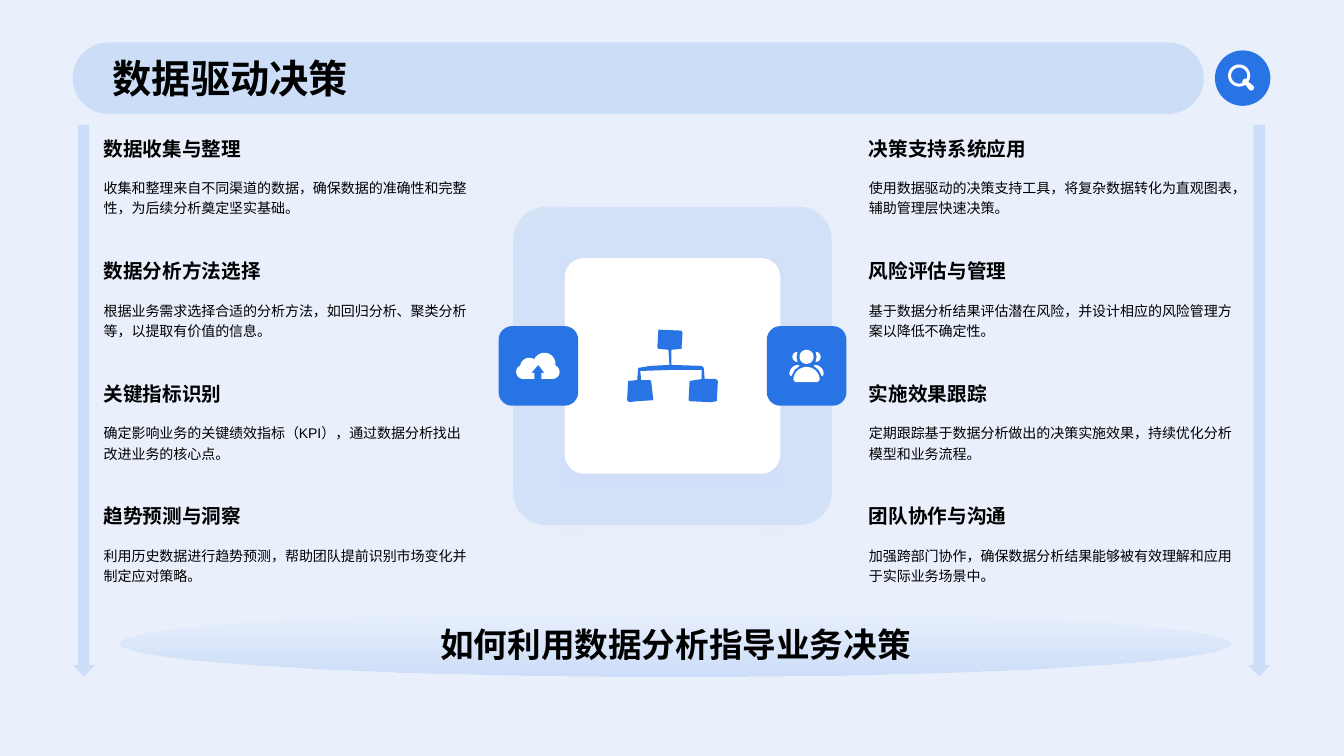
from math import cos, radians, sin

from lxml.etree import SubElement
from pptx import Presentation
from pptx.dml.color import RGBColor
from pptx.enum.lang import MSO_LANGUAGE_ID
from pptx.enum.shapes import MSO_SHAPE
from pptx.enum.text import MSO_ANCHOR, PP_ALIGN
from pptx.oxml.ns import qn
from pptx.util import Inches, Pt

# Content
TITLE = "数据驱动决策"
CONCLUSION = "如何利用数据分析指导业务决策"
LEFT_TOPICS = [
    ("数据收集与整理", "收集和整理来自不同渠道的数据，确保数据的准确性和完整性，为后续分析奠定坚实基础。"),
    ("数据分析方法选择", "根据业务需求选择合适的分析方法，如回归分析、聚类分析等，以提取有价值的信息。"),
    ("关键指标识别", "确定影响业务的关键绩效指标（KPI），通过数据分析找出改进业务的核心点。"),
    ("趋势预测与洞察", "利用历史数据进行趋势预测，帮助团队提前识别市场变化并制定应对策略。"),
]
RIGHT_TOPICS = [
    ("决策支持系统应用", "使用数据驱动的决策支持工具，将复杂数据转化为直观图表，辅助管理层快速决策。"),
    ("风险评估与管理", "基于数据分析结果评估潜在风险，并设计相应的风险管理方案以降低不确定性。"),
    ("实施效果跟踪", "定期跟踪基于数据分析做出的决策实施效果，持续优化分析模型和业务流程。"),
    ("团队协作与沟通", "加强跨部门协作，确保数据分析结果能够被有效理解和应用于实际业务场景中。"),
]
BLUE = RGBColor(0x28, 0x74, 0xE5)
WHITE = RGBColor(0xFF, 0xFF, 0xFF)
BLACK = RGBColor(0, 0, 0)

# Layout, in inches
SLIDE_W, SLIDE_H = 13.33, 7.5
TOPIC_TOP, TOPIC_W, HEADING_H, BODY_H = 1.24, 3.87, 0.46, 0.68
TOPIC_PITCH = 3.65 / 3
CENTER_X, CENTER_Y = 6.67, 3.63

prs = Presentation()
prs.slide_width, prs.slide_height = Inches(SLIDE_W), Inches(SLIDE_H)
s = prs.slides.add_slide(prs.slide_layouts[6])


def set_alpha(color_parent, percent):
    color = next(color_parent.iter(qn("a:srgbClr")))
    SubElement(color, qn("a:alpha"), val=str(percent * 1000))


def paint(sp, color, alpha=100):
    sp.shadow.inherit = False
    sp.line.fill.background()
    sp.fill.solid()
    sp.fill.fore_color.rgb = color
    if alpha < 100:
        set_alpha(sp._element.spPr.find(qn("a:solidFill")), alpha)


def add_box(kind, x, y, w, h, color, alpha=100, adj=None):
    sp = s.shapes.add_shape(kind, Inches(x), Inches(y), Inches(w), Inches(h))
    paint(sp, color, alpha)
    if adj is not None:
        sp.adjustments[0] = adj
    return sp


def add_square(cx, size, color, alpha=100, adj=0.17):
    return add_box(MSO_SHAPE.ROUNDED_RECTANGLE, cx - size / 2, CENTER_Y - size / 2,
                   size, size, color, alpha, adj)


def arc(cx, cy, radius, start, end):
    steps = 24
    angles = [radians(start + (end - start) * i / steps) for i in range(steps + 1)]
    return [(cx + radius * cos(a), cy + radius * sin(a)) for a in angles]


def mirror(points, axis):
    return [(2 * axis - x, y) for x, y in points]


def add_icon(contours, color):
    outlines = [[(Inches(x), Inches(y)) for x, y in points] for points in contours]
    builder = s.shapes.build_freeform(*outlines[0][0])
    for i, points in enumerate(outlines):
        if i:
            builder.move_to(*points[0])
        builder.add_line_segments(points[1:], close=True)
    paint(builder.convert_to_shape(), color)


def add_text(text, x, y, w, h, size, font="Arial", bold=True, align=None,
             anchor=MSO_ANCHOR.MIDDLE, spacing=None):
    tf = s.shapes.add_textbox(Inches(x), Inches(y), Inches(w), Inches(h)).text_frame
    tf.word_wrap = True
    tf.vertical_anchor = anchor
    p = tf.paragraphs[0]
    p.alignment, p.line_spacing = align, spacing
    r = p.add_run()
    r.text = text
    r.font.name, r.font.size, r.font.bold = font, Pt(size), bold
    r.font.color.rgb = BLACK
    r.font.language_id = MSO_LANGUAGE_ID.SIMPLIFIED_CHINESE


# Background and title bar
add_box(MSO_SHAPE.RECTANGLE, 0, 0, SLIDE_W, SLIDE_H, BLUE, 10)
add_box(MSO_SHAPE.ROUNDED_RECTANGLE, 0.72, 0.42, 11.22, 0.71, BLUE, 15, 0.5)
add_box(MSO_SHAPE.OVAL, 12.05, 0.5, 0.55, 0.55, BLUE)
lens = (arc(12.29, 0.75, 0.11, 56, 394)
        + [(12.43, 0.85), (12.44, 0.87), (12.43, 0.89), (12.41, 0.9), (12.39, 0.89)])
lens_hole = arc(12.29, 0.75, 0.08, 65, 385) + [(12.34, 0.78), (12.32, 0.81)]
add_icon([lens, lens_hole], WHITE)
add_text(TITLE, 1.02, 0.46, 10.63, 0.63, 28, font="Times New Roman")

# Central panel with its glow
panel = add_square(CENTER_X, 3.16, BLUE, 10, 0.104)
glow = SubElement(panel._element.spPr.find(qn("a:effectLst")), qn("a:outerShdw"),
                  blurRad=str(Pt(42)), dist=str(Pt(4)), dir="5400000",
                  algn="t", rotWithShape="0")
SubElement(glow, qn("a:srgbClr"), val=str(BLUE))
set_alpha(glow, 15)
add_square(CENTER_X, 2.14, WHITE, adj=0.09)

# Hierarchy icon
add_icon([[
    (6.53, 3.27), (6.76, 3.28), (6.77, 3.3), (6.76, 3.46), (6.66, 3.47), (6.66, 3.62),
    (6.96, 3.63), (6.98, 3.65), (6.99, 3.76), (7.1, 3.76), (7.12, 3.78), (7.11, 3.98),
    (7.05, 3.99), (6.84, 3.98), (6.83, 3.97), (6.84, 3.78), (6.96, 3.76), (6.96, 3.67),
    (6.65, 3.67), (6.35, 3.68), (6.36, 3.77), (6.45, 3.77), (6.46, 3.79), (6.48, 3.97),
    (6.32, 3.98), (6.24, 3.99), (6.22, 3.97), (6.23, 3.78), (6.32, 3.77), (6.33, 3.65),
    (6.45, 3.63), (6.64, 3.62), (6.63, 3.47), (6.53, 3.46), (6.52, 3.44),
]], BLUE)

# Side badges: cloud on the left, people on the right
for badge_x in (CENTER_X + 1.33, CENTER_X - 1.33):
    add_square(badge_x, 0.79, BLUE)
cloud = (arc(5.19, 3.69, 0.07, 90, 245) + arc(5.25, 3.64, 0.09, 185, 300)
         + arc(5.4, 3.61, 0.11, 200, 370) + arc(5.48, 3.69, 0.07, -65, 90)
         + [(5.37, 3.76), (5.37, 3.7), (5.4, 3.7), (5.34, 3.62),
            (5.27, 3.7), (5.3, 3.7), (5.3, 3.76)])
add_icon([cloud], WHITE)
head = arc(8, 3.54, 0.07, 0, 360)
body = arc(8, 3.77, 0.13, 180, 360) + [(8.11, 3.79), (7.89, 3.79)]
shoulder = arc(8.08, 3.71, 0.09, -90, 0) + [(8.16, 3.73), (8.15, 3.73), (8.12, 3.67), (8.07, 3.63)]
ear = arc(8.09, 3.54, 0.05, -90, 90) + [(8.1, 3.54)]
add_icon([head, body, shoulder, mirror(shoulder, 8), ear, mirror(ear, 8)], WHITE)

# Conclusion on a fading ellipse, between two arrows
ellipse = add_box(MSO_SHAPE.OVAL, 1.19, 6.06, 11.01, 0.65, BLUE)
ellipse.fill.gradient()
ellipse.fill.gradient_angle = 270
for stop, position, alpha in zip(ellipse.fill.gradient_stops, (0, 1), (0, 15)):
    stop.position, stop.color.rgb = position, BLUE
    set_alpha(stop._gs, alpha)
for arrow_x in (12.38, 0.72):
    add_box(MSO_SHAPE.DOWN_ARROW, arrow_x, TOPIC_TOP, 0.22, 5.47, BLUE, 15)
add_text(CONCLUSION, 0.76, 6.06, 11.88, 0.65, 24, align=PP_ALIGN.CENTER)

# Topic columns
for x, topics in ((0.93, LEFT_TOPICS), (8.52, RIGHT_TOPICS)):
    for row, (heading, detail) in enumerate(topics):
        y = TOPIC_TOP + row * TOPIC_PITCH
        add_text(detail, x, y + HEADING_H, TOPIC_W, BODY_H, 10, bold=False,
                 anchor=MSO_ANCHOR.TOP, spacing=1.2)
        add_text(heading, x, y, TOPIC_W, HEADING_H, 14)

prs.save("out.pptx")
